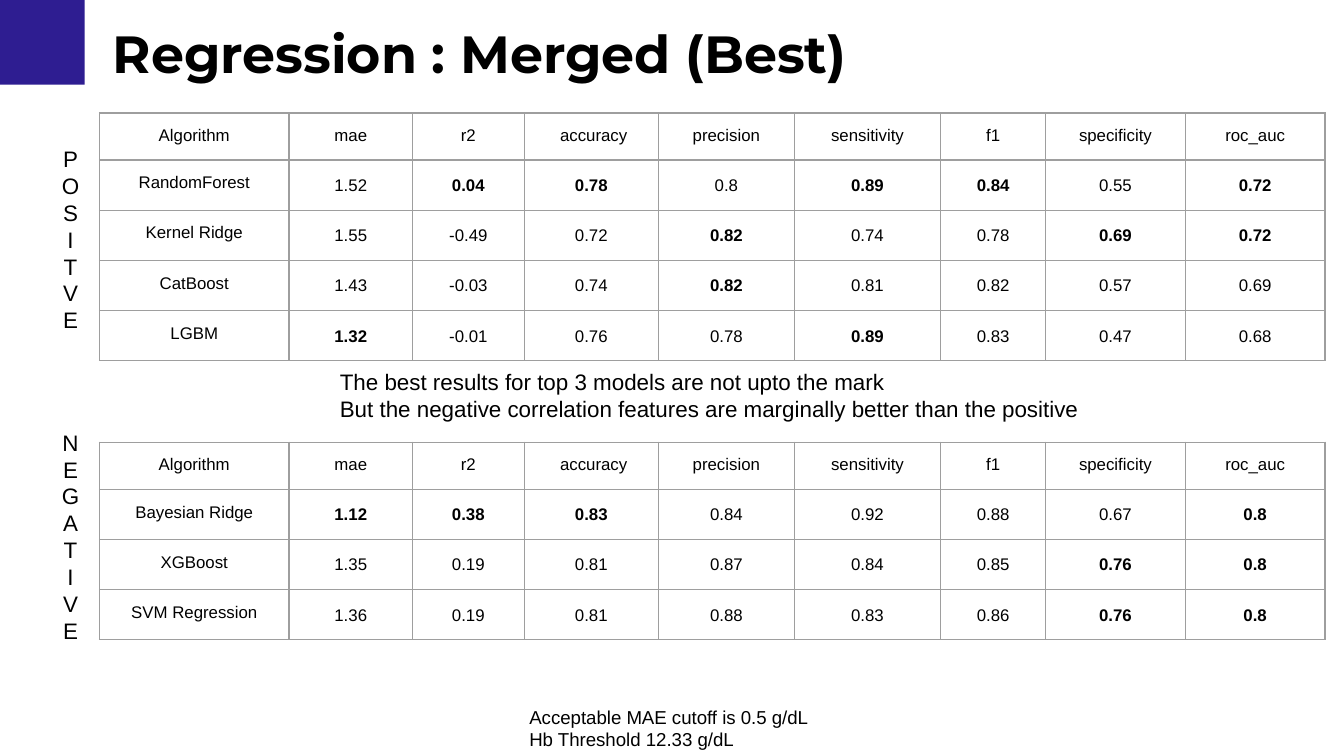
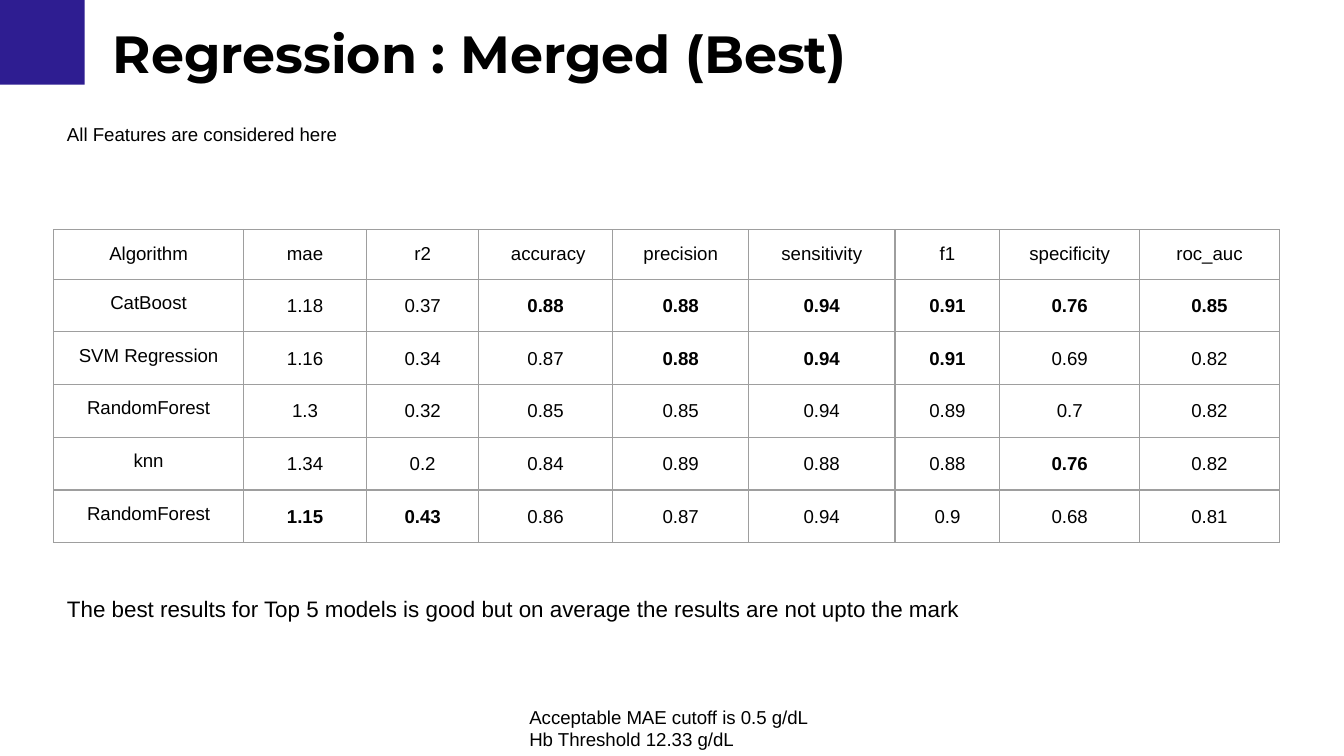
from lxml import etree
from pptx import Presentation
from pptx.dml.color import RGBColor
from pptx.enum.shapes import MSO_SHAPE
from pptx.enum.text import MSO_ANCHOR, MSO_AUTO_SIZE, PP_ALIGN
from pptx.oxml.ns import qn
from pptx.util import Inches, Pt

COLORS = {"band": "2E1D91", "text": "000000", "border": "9E9E9E"}
TITLE = "Regression : Merged (Best)"
FOOTER = ["Acceptable MAE cutoff is 0.5 g/dL", "Hb Threshold 12.33 g/dL"]
METRICS = ["Algorithm", "mae", "r2", " accuracy", "precision",
           "sensitivity", "f1", "specificity", "roc_auc"]
COL_WIDTHS = [1.41, 0.92, 0.83, 1, 1.01, 1.09, 0.78, 1.04, 1.04]
ROW_HEIGHT = 0.29

# A leading * marks a best score, set in bold.
POSITIVE = [
    ["RandomForest", "1.52", "*0.04", "*0.78", "0.8", "*0.89", "*0.84", "0.55", "*0.72"],
    ["Kernel Ridge", "1.55", "-0.49", "0.72", "*0.82", "0.74", "0.78", "*0.69", "*0.72"],
    ["CatBoost", "1.43", "-0.03", "0.74", "*0.82", "0.81", "0.82", "0.57", "0.69"],
    ["LGBM", "*1.32", "-0.01", "0.76", "0.78", "*0.89", "0.83", "0.47", "0.68"],
]
NEGATIVE = [
    ["Bayesian Ridge", "*1.12", "*0.38", "*0.83", "0.84", "0.92", "0.88", "0.67", "*0.8"],
    ["XGBoost", "1.35", "0.19", "0.81", "0.87", "0.84", "0.85", "*0.76", "*0.8"],
    ["SVM Regression", "1.36", "0.19", "0.81", "0.88", "0.83", "0.86", "*0.76", "*0.8"],
]
ALL_FEATURES = [
    ["CatBoost", "1.18", "0.37", "*0.88", "*0.88", "*0.94", "*0.91", "*0.76", "*0.85"],
    ["SVM Regression", "1.16", "0.34", "0.87", "*0.88", "*0.94", "*0.91", "0.69", "0.82"],
    ["RandomForest", "1.3", "0.32", "0.85", "0.85", "0.94", "0.89", "0.7", "0.82"],
    ["knn", "1.34", "0.2", "0.84", "0.89", "0.88", "0.88", "*0.76", "0.82"],
    ["RandomForest", "*1.15", "*0.43", "0.86", "0.87", "0.94", "0.9", "0.68", "0.81"],
]

# Tables: left, top, text size, rows. Texts: left, top, width, height, size, alignment, lines.
SLIDES = [
    {
        "tables": [(0.74, 0.84, 9, POSITIVE), (0.74, 3.29, 9, NEGATIVE)],
        "texts": [
            (0.33, 0.98, 0.39, 1.62, 12, PP_ALIGN.CENTER, list("POSITVE")),
            (0.33, 3.09, 0.39, 1.82, 12, PP_ALIGN.CENTER, list("NEGATIVE")),
            (2.43, 2.64, 5.81, 0.61, 12, PP_ALIGN.LEFT, [
                "The best results for top 3 models are not upto the mark",
                "But the negative correlation features are marginally better than the positive",
            ]),
        ],
    },
    {
        "tables": [(0.4, 1.71, 10, ALL_FEATURES)],
        "texts": [
            (0.4, 0.83, 2.32, 0.37, 10, PP_ALIGN.LEFT, ["All Features are considered here"]),
            (0.4, 4.33, 7.03, 0.4, 12, PP_ALIGN.LEFT, [
                "The best results for Top 5 models is good but on average "
                "the results are not upto the mark",
            ]),
        ],
    },
]


def fill_text(frame, tf, lines, align, **font):
    """Write one paragraph per line; frame is the text frame or cell that has the margins."""
    frame.vertical_anchor = MSO_ANCHOR.TOP
    for side in ("left", "right", "top", "bottom"):
        setattr(frame, f"margin_{side}", Inches(0.1))
    for i, line in enumerate(lines):
        p = tf.paragraphs[0] if i == 0 else tf.add_paragraph()
        p.alignment = align
        r = p.add_run()
        r.text = line
        for name, value in {"name": "Arial", "bold": False, **font}.items():
            setattr(r.font, name, value)
        r.font.color.rgb = RGBColor.from_string(COLORS["text"])


def add_scores(s, left, top, size, rows):
    grid = [METRICS] + rows
    sp = s.shapes.add_table(
        len(grid), len(METRICS), Inches(left), Inches(top),
        Inches(sum(COL_WIDTHS)), Inches(ROW_HEIGHT * len(grid)))
    table = sp.table
    table.first_row = table.horz_banding = False
    for column, width in zip(table.columns, COL_WIDTHS):
        column.width = Inches(width)
    for i, row in enumerate(grid):
        table.rows[i].height = Inches(ROW_HEIGHT)
        for j, value in enumerate(row):
            cell = table.cell(i, j)
            cell.fill.background()
            fill_text(cell, cell.text_frame, [value.lstrip("*")], PP_ALIGN.CENTER,
                      size=Pt(size), bold=value.startswith("*"))
            if i and j:
                cell.text_frame.paragraphs[0].line_spacing = 1.15
    for tcPr in sp.element.iter(qn("a:tcPr")):
        for k, side in enumerate(("lnL", "lnR", "lnT", "lnB")):
            ln = etree.Element(qn(f"a:{side}"), w=str(Pt(0.75)))
            fill = etree.SubElement(ln, qn("a:solidFill"))
            etree.SubElement(fill, qn("a:srgbClr"), val=COLORS["border"])
            tcPr.insert(k, ln)


prs = Presentation()
prs.slide_width = Inches(10)
prs.slide_height = prs.slide_width * 9 // 16
layout = prs.slide_layouts[5]

for number, content in enumerate(SLIDES):
    s = prs.slides.add_slide(layout)

    if number == 0:  # the corner band moves to the layout, which both slides share
        band = s.shapes.add_shape(MSO_SHAPE.RECTANGLE, 0, 0, Inches(0.63), Inches(0.63))
        band.shadow.inherit = False
        band.fill.solid()
        band.fill.fore_color.rgb = RGBColor.from_string(COLORS["band"])
        band.line.fill.background()
        layout.shapes.element.insert(2, band.element)

    title = s.shapes.title
    title.left, title.top, title.width, title.height = map(Inches, (0.74, 0.06, 8.44, 0.67))
    tf = title.text_frame
    fill_text(tf, tf, [TITLE], PP_ALIGN.LEFT, name="Montserrat", size=Pt(28), bold=True)
    tf.auto_size = MSO_AUTO_SIZE.SHAPE_TO_FIT_TEXT

    for table in content["tables"]:
        add_scores(s, *table)

    footer = (3.84, 5.15, 2.32, 0.54, 10, PP_ALIGN.LEFT, FOOTER)
    for *box, size, align, lines in content["texts"] + [footer]:
        tf = s.shapes.add_textbox(*map(Inches, box)).text_frame
        fill_text(tf, tf, lines, align, size=Pt(size))
        tf.word_wrap = True
        tf.auto_size = MSO_AUTO_SIZE.SHAPE_TO_FIT_TEXT

prs.save("out.pptx")
